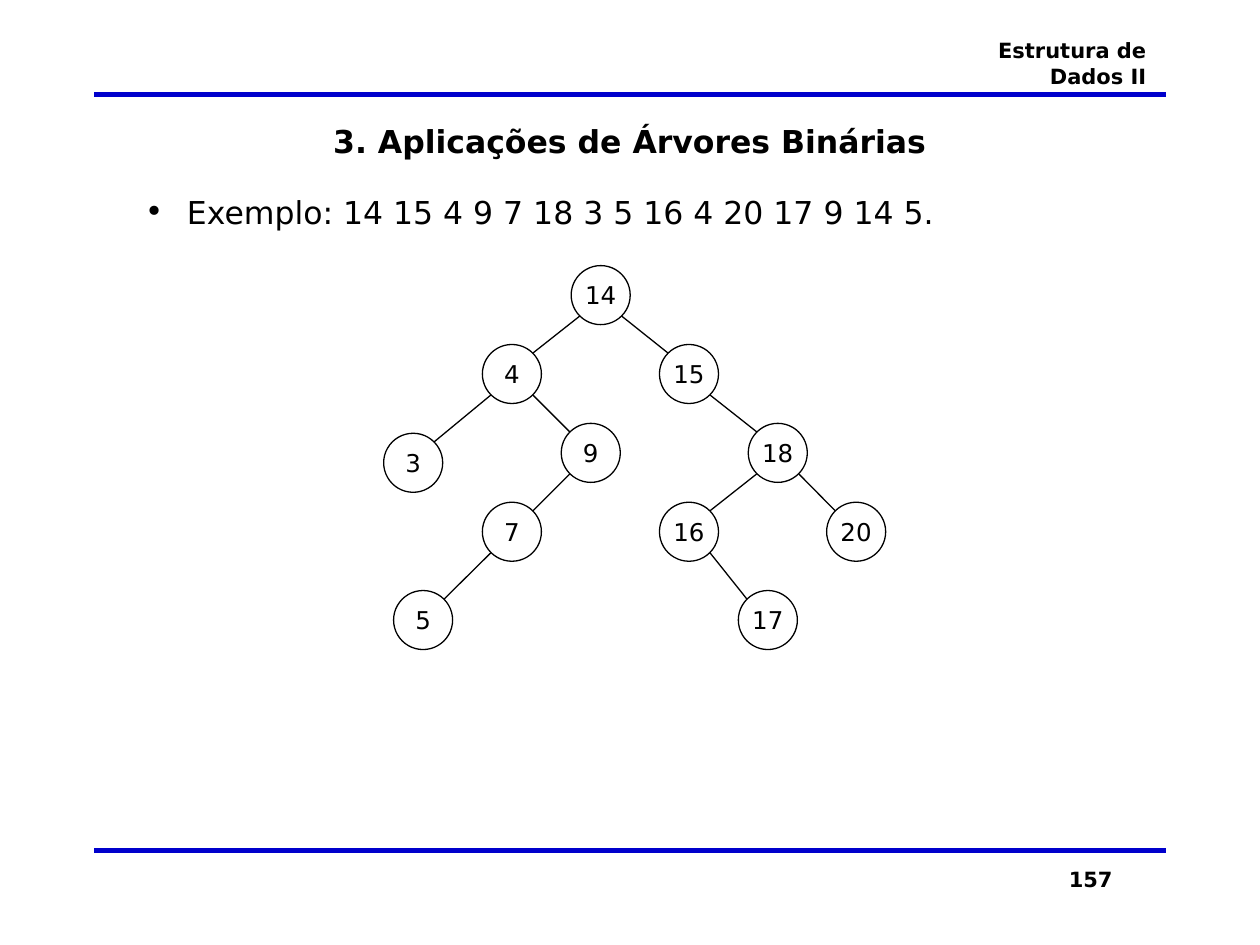
import dataclasses
import math
import typing

import lxml.etree
import pptx
import pptx.dml.color
import pptx.enum.shapes
import pptx.enum.text
import pptx.oxml.ns
import pptx.util

Cm = pptx.util.Cm
Pt = pptx.util.Pt
Align = pptx.enum.text.PP_ALIGN
Anchor = pptx.enum.text.MSO_ANCHOR
qn = pptx.oxml.ns.qn

FONT = "DejaVu Sans"
BLACK, WHITE, BLUE = "000000", "FFFFFF", "0000CC"
SIZE = 1.19  # node diameter, cm
REACH = SIZE / 2 * math.sqrt(0.5)  # centre to diagonal point of a node
TOP, STEP = 5.95, 1.59  # centre of the root row and row gap, cm


@dataclasses.dataclass
class Label:
    text: str
    box: tuple[float, float, float, float]
    size: int
    bold: bool
    align: typing.Any


@dataclasses.dataclass
class Node:
    key: int
    root: int | None
    x: float
    y: float


LABELS = [
    Label("Estrutura de Dados II", (18.36, 0.64, 5.0, 1.2), 12, True, Align.RIGHT),
    Label("157", (17.4, 17.35, 5.28, 1.27), 12, True, Align.RIGHT),
    Label("3. Aplicações de Árvores Binárias", (1.9, 2.34, 21.59, 1.02), 18, True, Align.CENTER),
]
LIST = Label("Exemplo: 14 15 4 9 7 18 3 5 16 4 20 17 9 14 5.",
             (2.77, 3.76, 19.66, 1.02), 18, False, Align.JUSTIFY)

TREE = [
    Node(14, None, 12.11, TOP),
    Node(15, 14, 13.89, TOP + STEP),
    Node(4, 14, 10.32, TOP + STEP),
    Node(9, 4, 11.91, TOP + 2 * STEP),
    Node(18, 15, 15.68, TOP + 2 * STEP),
    Node(3, 4, 8.33, 9.33),
    Node(7, 9, 10.32, TOP + 3 * STEP),
    Node(16, 18, 13.89, TOP + 3 * STEP),
    Node(20, 18, 17.26, TOP + 3 * STEP),
    Node(17, 16, 15.48, 12.5),
    Node(5, 7, 8.53, 12.5),
]


def color(code: str) -> pptx.dml.color.RGBColor:
    return pptx.dml.color.RGBColor.from_string(code)


def apply(item: typing.Any, style: dict[str, typing.Any]) -> None:
    for name, value in style.items():
        setattr(item, name, value)


def write(frame: typing.Any, text: str, size: int, bold: bool, align: typing.Any) -> None:
    line = frame.paragraphs[0]
    line.text = text
    line.alignment = align
    apply(line.runs[0].font, {"name": FONT, "size": Pt(size), "bold": bold})
    line.runs[0].font.color.rgb = color(BLACK)


def add_label(slide: typing.Any, label: Label) -> typing.Any:
    frame = slide.shapes.add_textbox(*map(Cm, label.box)).text_frame
    frame.word_wrap = True
    write(frame, label.text, label.size, label.bold, label.align)
    return frame


def add_list(slide: typing.Any, label: Label) -> None:
    frame = add_label(slide, label)
    frame.margin_left = Cm(0.15)
    props = frame.paragraphs[0]._p.get_or_add_pPr()
    indent = Cm(0.85)
    props.set("marL", str(indent))
    props.set("indent", str(-indent))
    lxml.etree.SubElement(props, qn("a:buFont"), typeface=FONT)
    lxml.etree.SubElement(props, qn("a:buChar"), char="•")


def add_line(slide: typing.Any, start: tuple[float, float], end: tuple[float, float],
             code: str, width: float) -> None:
    kind = pptx.enum.shapes.MSO_CONNECTOR.STRAIGHT
    line = slide.shapes.add_connector(kind, *map(Cm, start + end))
    line.line.color.rgb = color(code)
    line.line.width = Pt(width)
    lxml.etree.SubElement(line._element.spPr, qn("a:effectLst"))


def add_node(slide: typing.Any, node: Node) -> None:
    kind = pptx.enum.shapes.MSO_SHAPE.OVAL
    box = (node.x - SIZE / 2, node.y - SIZE / 2, SIZE, SIZE)
    shape = slide.shapes.add_shape(kind, *map(Cm, box))
    shape.shadow.inherit = False
    shape.fill.solid()
    shape.fill.fore_color.rgb = color(WHITE)
    shape.line.color.rgb = color(BLACK)
    shape.line.width = Pt(0.75)
    apply(shape.text_frame, {"word_wrap": False, "vertical_anchor": Anchor.MIDDLE})
    write(shape.text_frame, str(node.key), 14, False, Align.CENTER)


def add_edge(slide: typing.Any, root: Node, leaf: Node) -> None:
    """Join the facing diagonal points of two nodes."""
    side = math.copysign(REACH, leaf.x - root.x)
    add_line(slide, (root.x + side, root.y + REACH),
             (leaf.x - side, leaf.y - REACH), BLACK, 0.75)


def main() -> None:
    deck = pptx.Presentation()
    apply(deck, {"slide_width": Cm(25.4), "slide_height": Cm(19.05)})
    slide = deck.slides.add_slide(deck.slide_layouts[6])
    for y in (17.15, 1.9):
        add_line(slide, (1.9, y), (23.5, y), BLUE, 3)
    for label in LABELS:
        add_label(slide, label)
    add_list(slide, LIST)
    nodes = {node.key: node for node in TREE}
    for node in TREE:
        add_node(slide, node)
        if node.root is not None:
            add_edge(slide, nodes[node.root], node)
    deck.save("out.pptx")


if __name__ == "__main__":
    main()
